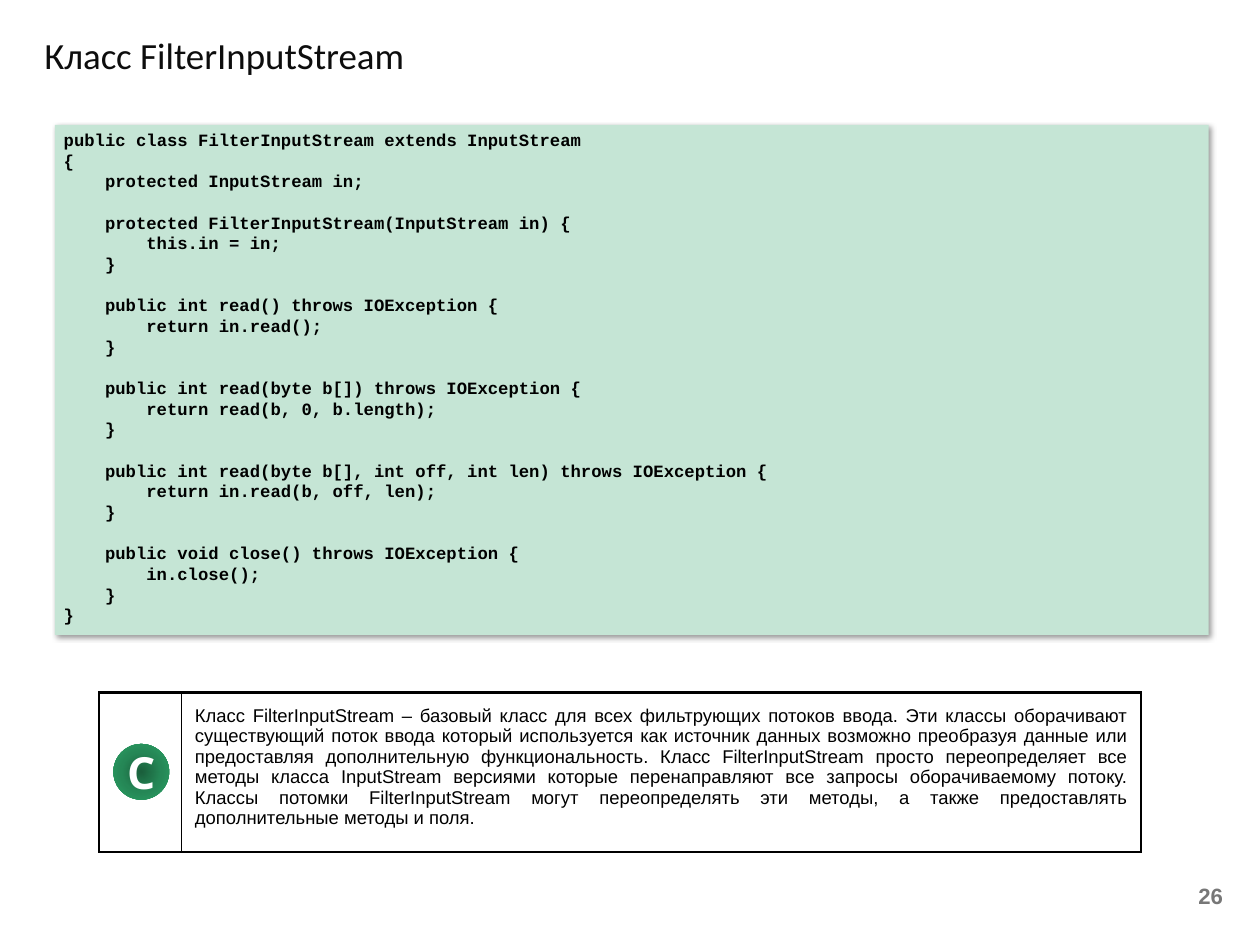
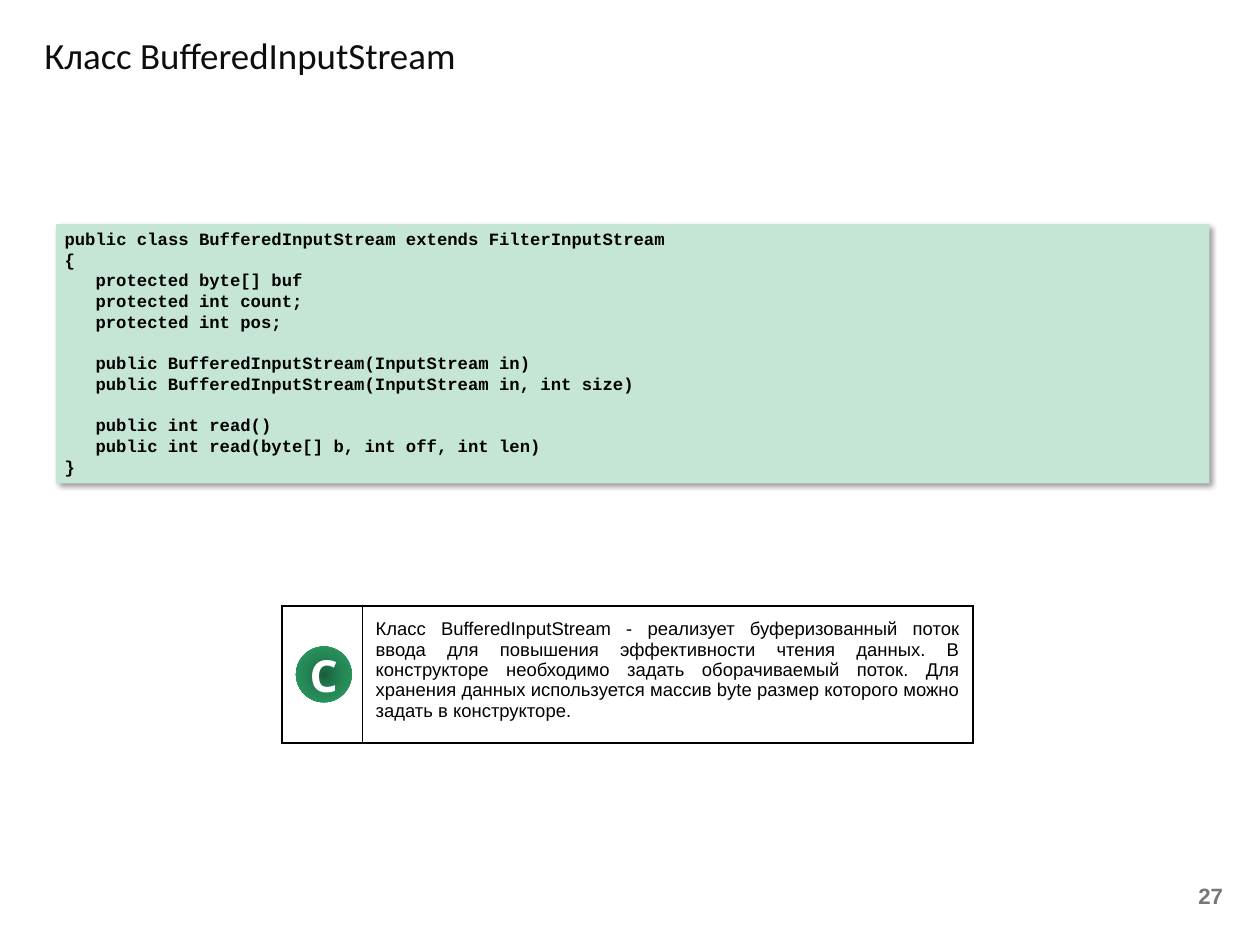
import pptx
import pptx.dml.color
import pptx.enum.shapes
import pptx.enum.text
import pptx.oxml
import pptx.oxml.ns
import pptx.util

RGBColor = pptx.dml.color.RGBColor
ALIGN = pptx.enum.text.PP_ALIGN
ANCHOR = pptx.enum.text.MSO_ANCHOR
SHAPE = pptx.enum.shapes.MSO_SHAPE
Pt = pptx.util.Pt

EMU_PER_PX = 9144  # 100 px to the inch

BLACK = RGBColor(0x00, 0x00, 0x00)
WHITE = RGBColor(0xFF, 0xFF, 0xFF)
TITLE_INK = RGBColor(0x0D, 0x0D, 0x0D)
PAGE_GREY = RGBColor(0x77, 0x77, 0x77)
CODE_GREEN = RGBColor(0xC5, 0xE5, 0xD5)
BADGE_STOPS = (
    (0, RGBColor(0x1A, 0x5F, 0x3C)),
    (50, RGBColor(0x25, 0x87, 0x56)),
    (100, RGBColor(0x2B, 0xA1, 0x66)),
)

TITLE_FONT = {"name": "Calibri", "size": Pt(30), "bold": False}
PAGE_FONT = {"name": "Arial", "size": Pt(18), "bold": True}
CODE_FONT = {"name": "Courier New", "size": Pt(14), "bold": True}
NOTE_FONT = {"name": "Arial", "size": Pt(15), "bold": False}
BADGE_FONT = {"name": "Noto Sans", "size": Pt(36), "bold": True}

CODE_CHAR = Pt(8.4)
CODE_LINE = Pt(16.8)
NOTE_LINE = Pt(16.6)
THICK, THIN = Pt(2.25), Pt(0.5)
BADGE_SIZE = 63
BADGE_INSET = 16

FILTER_CODE = """\
public class FilterInputStream extends InputStream
{
    protected InputStream in;

    protected FilterInputStream(InputStream in) {
        this.in = in;
    }

    public int read() throws IOException {
        return in.read();
    }

    public int read(byte b[]) throws IOException {
        return read(b, 0, b.length);
    }

    public int read(byte b[], int off, int len) throws IOException {
        return in.read(b, off, len);
    }

    public void close() throws IOException {
        in.close();
    }
}"""

BUFFERED_CODE = """\
public class BufferedInputStream extends FilterInputStream
{
   protected byte[] buf
   protected int count;
   protected int pos;

   public BufferedInputStream(InputStream in)
   public BufferedInputStream(InputStream in, int size)

   public int read()
   public int read(byte[] b, int off, int len)
}"""

FILTER_NOTE = (
    "Класс FilterInputStream – базовый класс для всех фильтрующих потоков ввода. "
    "Эти классы оборачивают существующий поток ввода который используется как "
    "источник данных возможно преобразуя данные или предоставляя дополнительную "
    "функциональность. Класс FilterInputStream просто переопределяет все методы "
    "класса InputStream версиями которые перенаправляют все запросы "
    "оборачиваемому потоку. Классы потомки FilterInputStream могут "
    "переопределять эти методы, а также предоставлять дополнительные методы и поля."
)

BUFFERED_NOTE = (
    "Класс BufferedInputStream - реализует буферизованный поток ввода для "
    "повышения эффективности чтения данных. В конструкторе необходимо задать "
    "оборачиваемый поток. Для хранения данных используется массив byte размер "
    "которого можно задать в конструкторе."
)


def px(*lengths):
    return [pptx.util.Emu(length * EMU_PER_PX) for length in lengths]


def assign(target, values):
    for name, value in values.items():
        setattr(target, name, value)


def xml(text):
    """Builds an element from text whose root opens with the a: prefix."""
    tag, rest = text.split(" ", 1)
    return pptx.oxml.parse_xml(f"{tag} {pptx.oxml.ns.nsdecls('a')} {rest}")


class Lecture:
    def __init__(self, width, height):
        self.deck = pptx.Presentation()
        self.deck.slide_width, self.deck.slide_height = px(width, height)
        self.page = None

    def add_text(self, para, text, font, color, **layout):
        span = para.add_run()
        span.text = text
        assign(span.font, font)
        span.font.color.rgb = color
        assign(para, layout)

    def start(self, title, number):
        """Adds a slide with its title and page number."""
        self.page = self.deck.slides.add_slide(self.deck.slide_layouts[5])
        box = self.page.shapes.title
        place = zip(("left", "top", "width", "height"), px(40, 30, 1103, 63))
        assign(box, dict(place))
        frame = box.text_frame
        assign(frame, {"word_wrap": False, "vertical_anchor": ANCHOR.MIDDLE})
        self.add_text(frame.paragraphs[0], title, TITLE_FONT, TITLE_INK,
                      alignment=ALIGN.LEFT)
        frame = self.page.shapes.add_textbox(*px(1058, 985, 332, 53)).text_frame
        assign(frame, {"word_wrap": True, "vertical_anchor": ANCHOR.MIDDLE})
        self.add_text(frame.paragraphs[0], str(number), PAGE_FONT, PAGE_GREY,
                      alignment=ALIGN.RIGHT)

    def shape(self, kind, left, top, width, height, fill):
        shape = self.page.shapes.add_shape(kind, *px(left, top, width, height))
        shape.shadow.inherit = False
        shape.fill.solid()
        shape.fill.fore_color.rgb = fill
        shape.line.fill.background()
        return shape

    def code(self, left, top, height, listing):
        """Green panel; leading spaces become indents, empty lines spacing."""
        panel = self.shape(SHAPE.RECTANGLE, left, top, 1302, height, CODE_GREEN)
        effects = panel._element.spPr.find(pptx.oxml.ns.qn("a:effectLst"))
        effects.append(xml(
            f'<a:outerShdw blurRad="{Pt(4)}" dist="{Pt(3)}" dir="2700000" '
            'algn="tl" rotWithShape="0"><a:srgbClr val="000000">'
            '<a:alpha val="40000"/></a:srgbClr></a:outerShdw>'))
        frame = panel.text_frame
        assign(frame, {"word_wrap": True, "vertical_anchor": ANCHOR.TOP})
        para, gap = frame.paragraphs[0], Pt(0)
        for index, line in enumerate(listing.splitlines()):
            if not line:
                gap = CODE_LINE
                continue
            if index:
                para = frame.add_paragraph()
            text = line.lstrip()
            self.add_text(para, text, CODE_FONT, BLACK, alignment=ALIGN.LEFT,
                          line_spacing=CODE_LINE, space_before=gap)
            indent = (len(line) - len(text)) * CODE_CHAR
            para._p.get_or_add_pPr().set("marL", str(indent))
            gap = Pt(0)

    def cell(self, cell, left_line, right_line):
        cell.fill.solid()
        cell.fill.fore_color.rgb = WHITE
        lines = {"L": left_line, "R": right_line, "T": THICK, "B": THICK}
        for index, (side, width) in enumerate(lines.items()):
            cell._tc.get_or_add_tcPr().insert(index, xml(
                f'<a:ln{side} w="{width}"><a:solidFill><a:srgbClr val="{BLACK}"/>'
                f'</a:solidFill></a:ln{side}>'))

    def note(self, left, top, height, columns, text):
        """Framed explanation with the class badge in its first column."""
        table = self.page.shapes.add_table(
            1, 2, *px(left, top, sum(columns), height)).table
        assign(table, {"first_row": False, "horz_banding": False})
        for column, width in zip(table.columns, px(*columns)):
            column.width = width
        badge_cell, text_cell = table.cell(0, 0), table.cell(0, 1)
        self.cell(badge_cell, THICK, THIN)
        self.cell(text_cell, THIN, THICK)
        sides = ("left", "top", "right", "bottom")
        assign(text_cell, {f"margin_{side}": px(15)[0] for side in sides})
        self.add_text(text_cell.text_frame.paragraphs[0], text, NOTE_FONT, BLACK,
                      alignment=ALIGN.JUSTIFY, line_spacing=NOTE_LINE)
        self.badge(left + BADGE_INSET, top + (height - BADGE_SIZE) // 2)

    def badge(self, left, top):
        circle = self.shape(SHAPE.OVAL, left, top, BADGE_SIZE, BADGE_SIZE, WHITE)
        stops = "".join(
            f'<a:gs pos="{percent * 1000}"><a:srgbClr val="{color}"/></a:gs>'
            for percent, color in BADGE_STOPS)
        properties = circle._element.spPr
        solid = properties.find(pptx.oxml.ns.qn("a:solidFill"))
        properties.replace(solid, xml(
            f'<a:gradFill rotWithShape="1"><a:gsLst>{stops}</a:gsLst>'
            '<a:path path="circle"><a:fillToRect l="50000" t="50000" '
            'r="50000" b="50000"/></a:path></a:gradFill>'))
        frame = circle.text_frame
        assign(frame, {"margin_left": 0, "margin_top": 0, "margin_right": 0,
                       "margin_bottom": 0, "word_wrap": False,
                       "vertical_anchor": ANCHOR.MIDDLE})
        self.add_text(frame.paragraphs[0], "C", BADGE_FONT, WHITE,
                      alignment=ALIGN.CENTER)


def main():
    lecture = Lecture(1422, 1067)

    lecture.start("Класс FilterInputStream", 26)
    lecture.code(62, 141, 576, FILTER_CODE)
    lecture.note(112, 782, 180, (93, 1083), FILTER_NOTE)

    lecture.start("Класс BufferedInputStream", 27)
    lecture.code(63, 253, 293, BUFFERED_CODE)
    lecture.note(318, 684, 155, (91, 689), BUFFERED_NOTE)

    lecture.deck.save("out.pptx")


if __name__ == "__main__":
    main()
